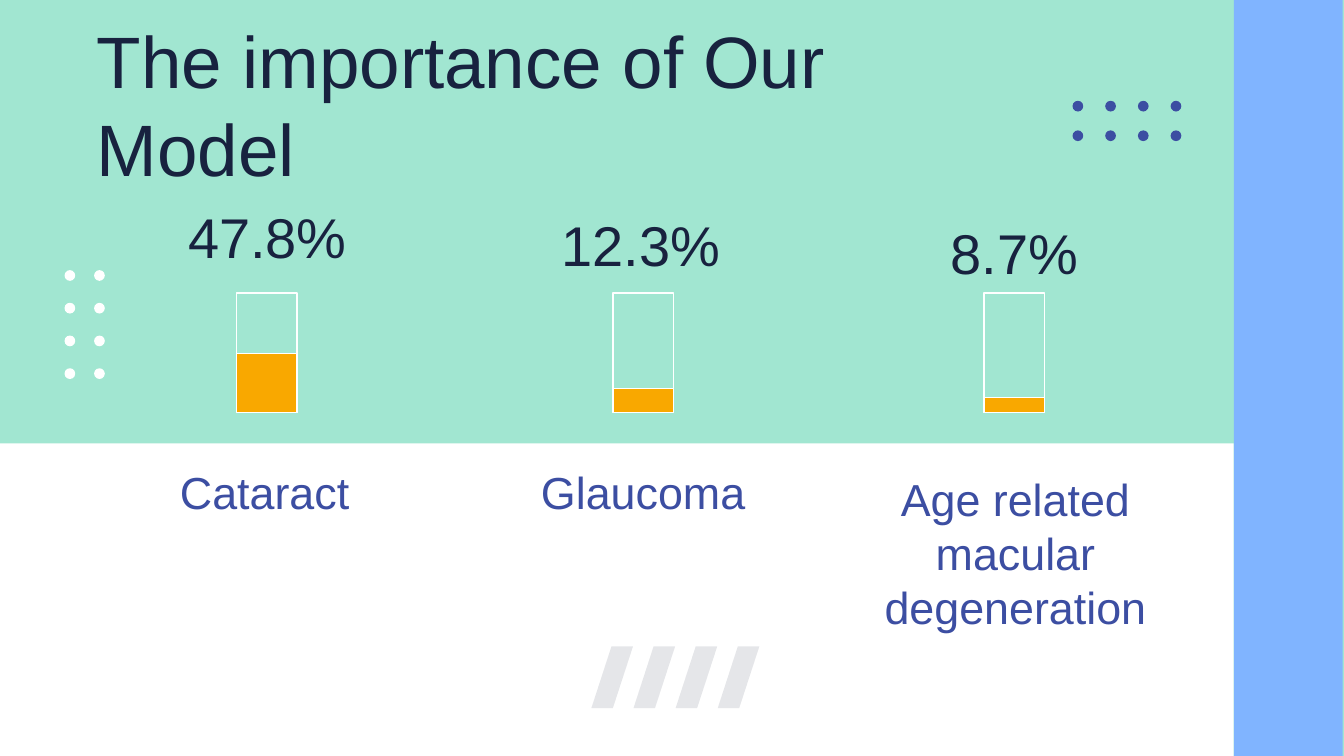
from lxml.etree import SubElement
from pptx import Presentation
from pptx.dml.color import RGBColor
from pptx.enum.shapes import MSO_SHAPE
from pptx.enum.text import MSO_ANCHOR, MSO_AUTO_SIZE, PP_ALIGN
from pptx.oxml.ns import qn
from pptx.util import Inches, Pt

MINT = RGBColor(0xA1, 0xE6, 0xD1)
SKY = RGBColor(0x80, 0xB4, 0xFF)
WHITE = RGBColor(0xFF, 0xFF, 0xFF)
NAVY = RGBColor(0x18, 0x22, 0x3F)
INDIGO = RGBColor(0x3C, 0x4E, 0xA2)
ORANGE = RGBColor(0xF9, 0xA8, 0x00)


def paint(sp, fill=None, line=None, alpha=None):
    sp.shadow.inherit = False
    if fill is None:
        sp.fill.background()
    else:
        sp.fill.solid()
        sp.fill.fore_color.rgb = fill
    if line is None:
        sp.line.fill.background()
    else:
        sp.line.color.rgb = line
        sp.line.width = Pt(0.75)
    if alpha is not None:
        color = sp._element.spPr.find(qn("a:solidFill"))[0]
        SubElement(color, qn("a:alpha"), val=str(alpha * 1000))


def add_shape(s, kind, x, y, w, h, **style):
    sp = s.shapes.add_shape(kind, Inches(x), Inches(y), Inches(w), Inches(h))
    paint(sp, **style)


def add_dots(s, x, y, cols, rows, dx, dy, fill):
    for row in range(rows):
        for col in range(cols):
            add_shape(s, MSO_SHAPE.OVAL, x + col * dx, y + row * dy, 0.08, 0.08, fill=fill)


def add_slash(s, x, y):
    points = [(x + 0.15, y), (x, y + 0.46), (x + 0.16, y + 0.46), (x + 0.31, y)]
    points = [(Inches(px), Inches(py)) for px, py in points]
    fb = s.shapes.build_freeform(*points[0])
    fb.add_line_segments(points[1:], close=True)
    paint(fb.convert_to_shape(), fill=NAVY, alpha=11)


def set_text(sp, text, size, color, align=PP_ALIGN.CENTER, anchor=MSO_ANCHOR.BOTTOM):
    tf = sp.text_frame
    tf.word_wrap = True
    tf.auto_size = MSO_AUTO_SIZE.NONE
    tf.vertical_anchor = anchor
    tf.margin_left = tf.margin_right = tf.margin_top = tf.margin_bottom = Inches(0.1)
    p = tf.paragraphs[0]
    p.alignment = align
    r = p.add_run()
    r.text = text
    r.font.name = "Arial"
    r.font.size = Pt(size)
    r.font.color.rgb = color


def add_text(s, text, x, y, w, h, **fmt):
    sp = s.shapes.add_textbox(Inches(x), Inches(y), Inches(w), Inches(h))
    set_text(sp, text, **fmt)


def add_gauge(s, x, level):
    top, w, h = 2.18, 0.45, 0.89
    add_shape(s, MSO_SHAPE.RECTANGLE, x, top, w, h, line=WHITE)
    add_shape(s, MSO_SHAPE.RECTANGLE, x, top + h - level, w, level, fill=ORANGE, line=WHITE)


def add_title(s, text):
    sp = s.shapes.title
    sp.left, sp.top, sp.width, sp.height = Inches(0.62), Inches(0.02), Inches(6.14), Inches(0.67)
    set_text(sp, text, 39, NAVY, align=PP_ALIGN.LEFT, anchor=MSO_ANCHOR.TOP)


def main():
    prs = Presentation()
    prs.slide_width, prs.slide_height = Inches(10), Inches(10 * 9 / 16)
    s = prs.slides.add_slide(prs.slide_layouts[5])
    s.background.fill.solid()
    s.background.fill.fore_color.rgb = MINT

    add_shape(s, MSO_SHAPE.RECTANGLE, 9.18, 0, 0.81, 5.66, fill=SKY)
    add_shape(s, MSO_SHAPE.RECTANGLE, -0.03, 3.3, 9.21, 2.37, fill=WHITE)
    for i in range(4):
        add_slash(s, 4.4 + i * 0.94 / 3, 4.81)
    add_dots(s, 0.48, 2.01, 2, 4, 0.22, 0.73 / 3, WHITE)
    add_dots(s, 7.98, 0.75, 4, 2, 0.73 / 3, 0.22, INDIGO)
    add_title(s, "The importance of Our Model")

    diseases = [
        ("Cataract ", 0.78, 3.34, "47.8%", 1.19, 1.34, 1.6, 1.76, 0.44),
        ("Glaucoma", 3.55, 3.34, "12.3%", 3.97, 1.4, 1.6, 4.56, 0.18),
        ("Age related macular degeneration", 6.32, 4.19, "8.7%", 6.82, 1.46, 1.46, 7.32, 0.11),
    ]
    for name, name_x, name_y, share, share_x, share_y, share_w, gauge_x, level in diseases:
        add_text(s, name, name_x, name_y, 2.47, 0.62, size=24, color=INDIGO)
        add_text(s, share, share_x, share_y, share_w, 0.77, size=30, color=NAVY)
        add_gauge(s, gauge_x, level)

    prs.save("out.pptx")


if __name__ == "__main__":
    main()
